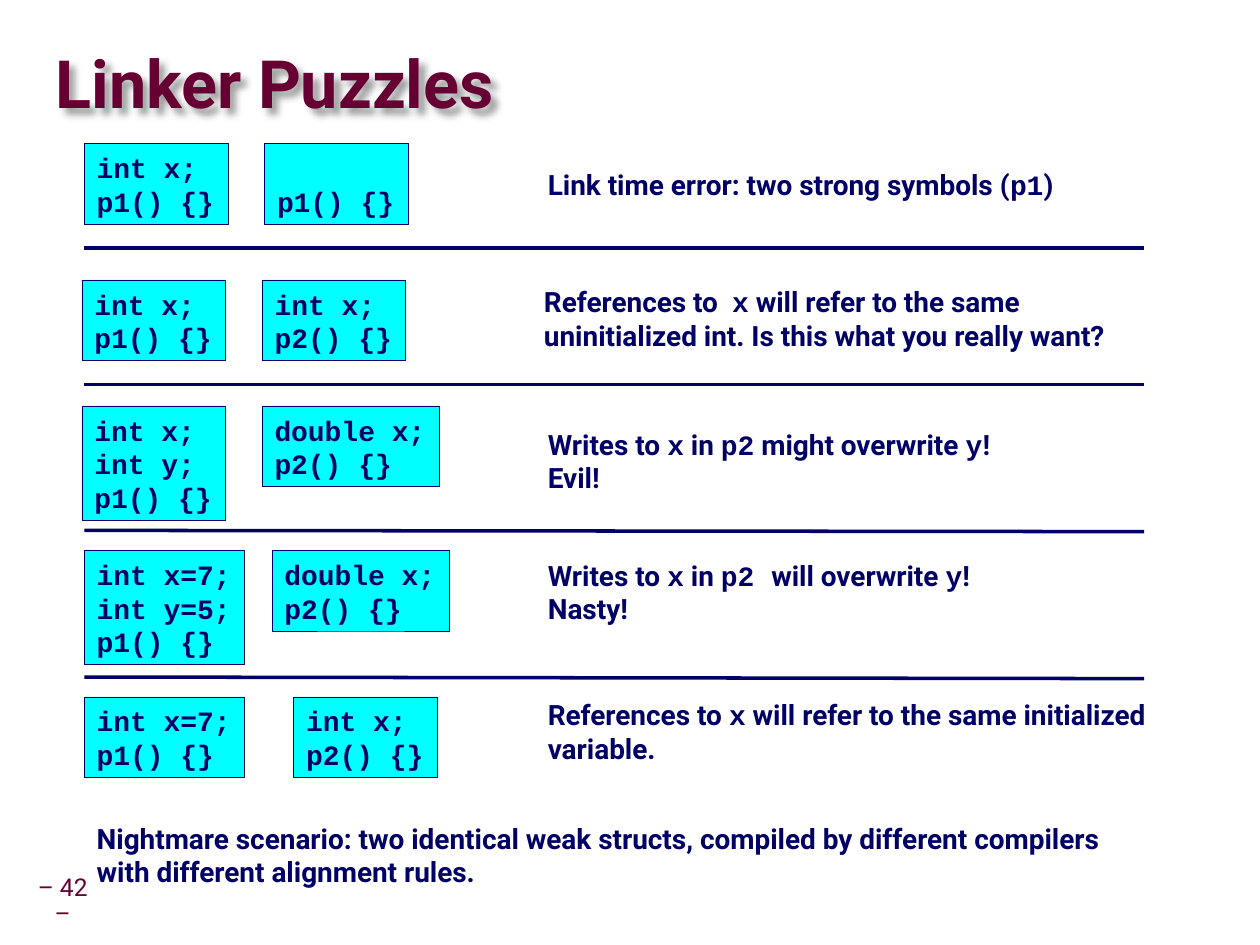
import lxml.etree
import pptx
import pptx.dml.color
import pptx.enum.shapes
import pptx.enum.text
import pptx.oxml
import pptx.oxml.ns
import pptx.util

Pt = pptx.util.Pt
RGB = pptx.dml.color.RGBColor
ANCHOR = pptx.enum.text.MSO_ANCHOR
ALIGN = pptx.enum.text.PP_ALIGN

NAVY = RGB(0x00, 0x00, 0x66)
CYAN = RGB(0x00, 0xFF, 0xFF)
MAROON = RGB(0x66, 0x00, 0x33)
SANS, MONO = "Roboto", "Courier New"
LINE_HEIGHT = 19.2
CHAR_WIDTH = 9.6
RULE_RIGHT = 653.8

TITLE_SHADOW = (
    '<a:effectLst %s><a:outerShdw blurRad="50800" dist="53880" dir="2700000"'
    ' algn="ctr" rotWithShape="0"><a:srgbClr val="808080"><a:alpha val="75000"/>'
    "</a:srgbClr></a:outerShdw></a:effectLst>" % pptx.oxml.ns.nsdecls("a")
)

# left, top, code of each file, left of second file, rule (y at both ends)
# and the answer: its left and top offset, then its lines with `code`
PUZZLES = [
    (48.2, 82, ["int x;", "p1() {}"], 151.2, ["p1() {}"], (141.8, 141.8),
     306, 10, ["Link time error: two strong symbols (`p1`)"]),
    (46.8, 160, ["int x;", "p1() {}"], 149.8, ["int x;", "p2() {}"], (219.6, 219.6),
     303.8, -0.9, ["References to  `x` will refer to the same",
                    "uninitialized int. Is this what you really want?"]),
    (46.8, 232, ["int x;", "int y;", "p1() {}"], 149.8, ["double x;", "p2() {}"],
     (303.1, 303.8), 306, 8.5, ["Writes to `x` in `p2` might overwrite `y`!", "Evil!"]),
    (48.2, 314.6, ["int x=7;", "int y=5;", "p1() {}"], 155.5, ["double x;", "p2() {}"],
     (386.9, 387.8), 306, 0.8, ["Writes to `x` in `p2 `will overwrite `y`!", "Nasty!"]),
    (48.2, 398.2, ["int x=7;", "p1() {}"], 167.8, ["int x;", "p2() {}"], None,
     306, -2.9, ["References to `x` will refer to the same initialized", "variable."]),
]


def write_text(tf, lines, font=SANS, size=16, color=NAVY, bold=True, spacing=None,
               align=ALIGN.LEFT, anchor=ANCHOR.TOP, wrap=True, insets=(7.2, 3.6, 7.2, 3.6)):
    """Fill a text frame; parts between backticks are set in the code font."""
    tf.word_wrap = wrap
    tf.auto_size = pptx.enum.text.MSO_AUTO_SIZE.NONE
    tf.vertical_anchor = anchor
    tf.margin_left, tf.margin_top, tf.margin_right, tf.margin_bottom = map(Pt, insets)
    for i, line in enumerate(lines):
        p = tf.add_paragraph() if i else tf.paragraphs[0]
        p.alignment = align
        p.line_spacing = spacing or Pt(LINE_HEIGHT)
        for j, part in enumerate(line.split("`")):
            if part:
                r = p.add_run()
                r.text = part
                r.font.name = MONO if j % 2 else font
                r.font.size = Pt(size)
                r.font.bold = bold
                r.font.color.rgb = color


def add_text(s, x, y, w, h, lines, **fmt):
    sp = s.shapes.add_textbox(Pt(x), Pt(y), Pt(w), Pt(h))
    write_text(sp.text_frame, lines, **fmt)


def add_title(s, x, y, w, h, text):
    sp = s.shapes.title
    sp.left, sp.top, sp.width, sp.height = map(Pt, (x, y, w, h))
    write_text(sp.text_frame, [text], size=38, color=MAROON, spacing=0.87,
               anchor=ANCHOR.MIDDLE, insets=(0, 0, 0, 0))
    sp._element.spPr.append(pptx.oxml.parse_xml(TITLE_SHADOW))


def add_code(s, x, y, lines):
    """Draw a code box sized to its text, with room for at least two lines."""
    w = CHAR_WIDTH * max(map(len, lines)) + 14.8
    h = LINE_HEIGHT * max(2, len(lines)) + 7.6
    sp = s.shapes.add_shape(pptx.enum.shapes.MSO_SHAPE.RECTANGLE, Pt(x), Pt(y), Pt(w), Pt(h))
    sp.shadow.inherit = False
    sp.fill.solid()
    sp.fill.fore_color.rgb = CYAN
    sp.line.color.rgb = NAVY
    sp.line.width = Pt(0.25)
    write_text(sp.text_frame, lines, font=MONO, anchor=ANCHOR.BOTTOM, wrap=False)


def add_rule(s, x, y1, y2):
    line = s.shapes.add_connector(pptx.enum.shapes.MSO_CONNECTOR.STRAIGHT,
                                  Pt(x), Pt(y1), Pt(RULE_RIGHT), Pt(y2))
    line.line.color.rgb = NAVY
    line.line.width = Pt(2)
    lxml.etree.SubElement(line._element.spPr, pptx.oxml.ns.qn("a:effectLst"))


def add_puzzle(s, x, y, first, second_x, second, rule, answer_x, answer_dy, answer):
    add_code(s, x, y, first)
    add_code(s, second_x, y, second)
    add_text(s, answer_x, y + answer_dy, 376, LINE_HEIGHT * len(answer) + 7.6, answer)
    if rule:
        add_rule(s, 48.2, *rule)


def main():
    prs = pptx.Presentation()
    prs.slide_width, prs.slide_height = Pt(720), Pt(540)
    s = prs.slides.add_slide(prs.slide_layouts[5])
    add_title(s, 31.7, 19.4, 686.2, 61.2, "Linker Puzzles")
    for puzzle in PUZZLES:
        add_puzzle(s, *puzzle)
    add_text(s, 48.2, 465.8, 624.2, 46,
             ["Nightmare scenario: two identical weak structs, compiled by different compilers",
              "with different alignment rules."])
    add_text(s, 17.3, 504, 47.5, 22.3, ["– 42 –"], size=14, color=MAROON, bold=False,
             spacing=0.9, align=ALIGN.CENTER, anchor=ANCHOR.MIDDLE, insets=(3.6, 3.6, 14, 3.6))
    prs.save("out.pptx")


if __name__ == "__main__":
    main()
